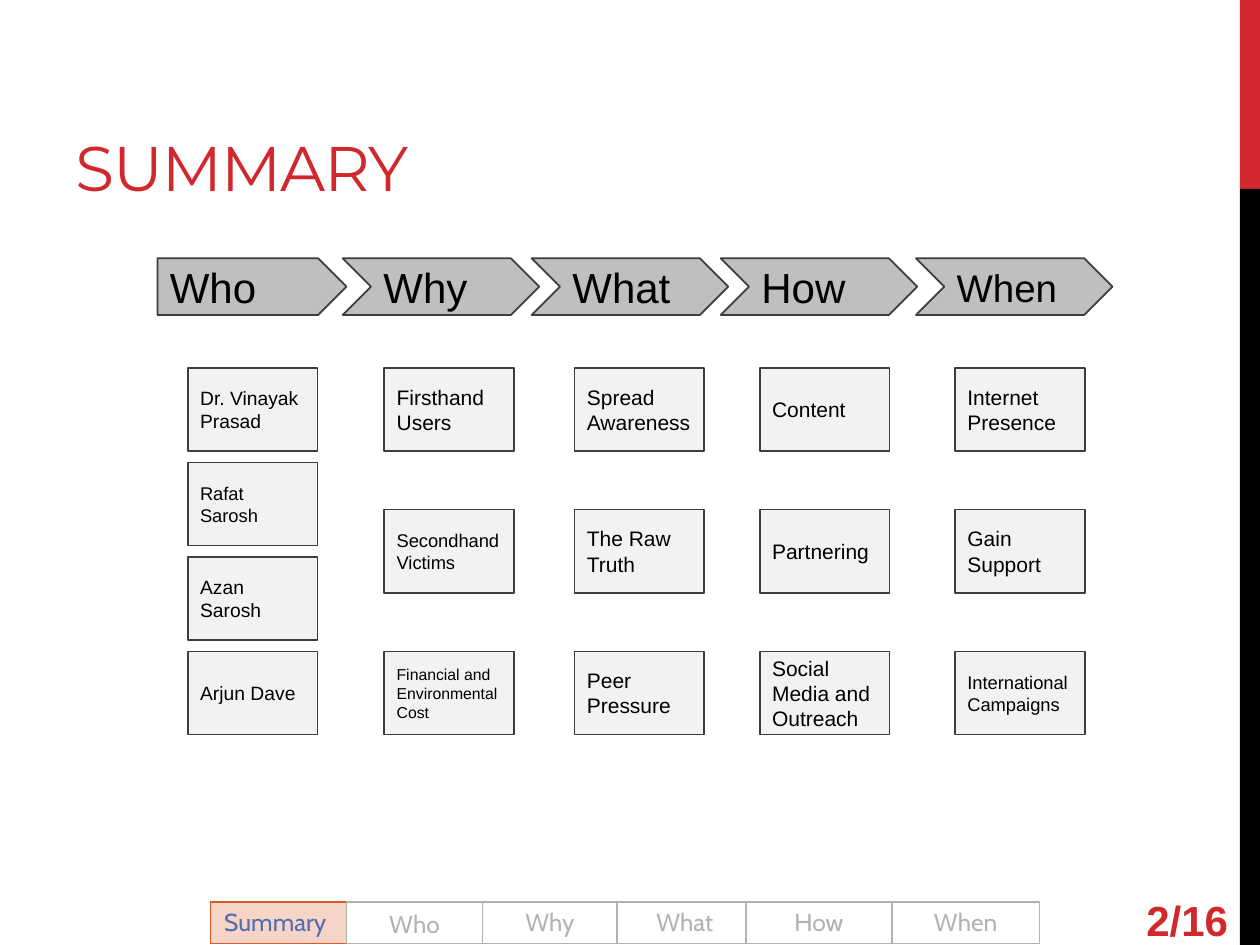
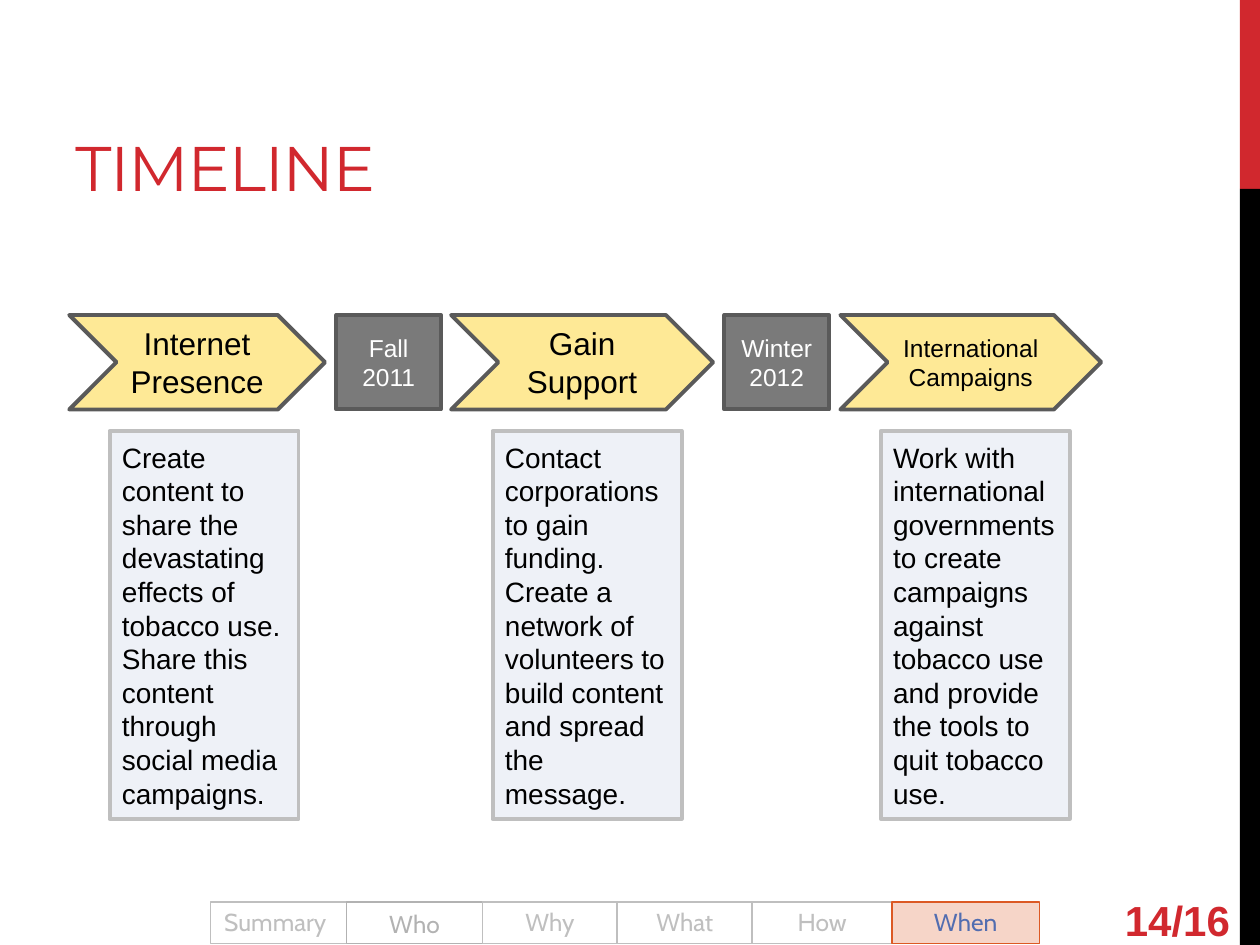
from lxml import etree
from pptx import Presentation
from pptx.dml.color import RGBColor
from pptx.enum.shapes import MSO_SHAPE
from pptx.enum.text import MSO_ANCHOR, PP_ALIGN
from pptx.oxml.ns import qn
from pptx.util import Inches, Pt

RECT, CHEVRON, PENTAGON = MSO_SHAPE.RECTANGLE, MSO_SHAPE.CHEVRON, MSO_SHAPE.PENTAGON
LEFT, CENTER = PP_ALIGN.LEFT, PP_ALIGN.CENTER
MIDDLE, BOTTOM = MSO_ANCHOR.MIDDLE, MSO_ANCHOR.BOTTOM

RED = RGBColor(0xD1, 0x28, 0x2E)
BLACK = RGBColor(0, 0, 0)
WHITE = RGBColor(0xFF, 0xFF, 0xFF)
ORANGE = RGBColor(0xDC, 0x59, 0x24)
BLUE = RGBColor(0x52, 0x6D, 0xB0)
PALE_BLUE = RGBColor(0xDC, 0xE2, 0xEF)
YELLOW = RGBColor(0xFE, 0xDE, 0x61)
PALE_GRAY = RGBColor(0xF2, 0xF2, 0xF2)
SILVER = RGBColor(0xBF, 0xBF, 0xBF)
NAV_GRAY = RGBColor(0xB2, 0xB2, 0xB2)
MID_GRAY = RGBColor(0x7A, 0x7A, 0x7A)
EDGE_GRAY = RGBColor(0x5A, 0x5A, 0x5A)
DARK_GRAY = RGBColor(0x3D, 0x3D, 0x3D)

BODY_FONT, TITLE_FONT, NAV_FONT = "Arial", "Montserrat", "Cabin"
BODY_INSETS = (0.1, 0.05, 0.1, 0.05)
NAV_INSETS = (0.05, 0.04, 0.05, 0.02)
SUMMARY_INSETS = (0, 0, 0.05, 0.02)

# heading, heading shape, heading left, heading width, heading size, card left, cards
TOPICS = [
    ("Who", PENTAGON, 1.25, 1.5, 24, 1.49,
     [("Dr. Vinayak Prasad", 11), ("Rafat Sarosh", 10.5),
      ("Azan Sarosh", 11), ("Arjun Dave", 11)]),
    ("Why", CHEVRON, 2.72, 1.56, 24, 3.05,
     [("Firsthand Users", 12), ("Secondhand Victims", 10.5),
      ("Financial and Environmental Cost", 9)]),
    ("What", CHEVRON, 4.22, 1.56, 24, 4.56,
     [("Spread Awareness", 12), ("The Raw Truth", 12), ("Peer Pressure", 12)]),
    ("How", CHEVRON, 5.72, 1.56, 24, 6.03,
     [("Content", 12), ("Partnering", 12), ("Social Media and Outreach", 12)]),
    ("When", CHEVRON, 7.27, 1.56, 22, 7.58,
     [("Internet Presence", 12), ("Gain Support", 12),
      ("International Campaigns", 10.5)]),
]

# phase, left, width, size, description left, description
PHASES = [
    ("Internet Presence", 0.55, 2.03, 18, 0.87,
     "Create content to share the devastating effects of tobacco use. "
     "Share this content through social media campaigns."),
    ("Gain Support", 3.58, 2.08, 18, 3.91,
     "Contact corporations to gain funding. Create a network of volunteers "
     "to build content and spread the message."),
    ("International Campaigns", 6.67, 2.07, 14, 6.99,
     "Work with international governments to create campaigns against "
     "tobacco use and provide the tools to quit tobacco use."),
]
DATES = [("Fall 2011", 2.67), ("Winter 2012", 5.75)]


class Deck:
    def __init__(self):
        self.presentation = Presentation()
        self.presentation.slide_width = Inches(10)
        self.presentation.slide_height = Inches(7.5)
        self.slide = None

    def new_slide(self, title, page, page_left):
        layout = self.presentation.slide_layouts[6]
        self.slide = self.presentation.slides.add_slide(layout)
        self.box((9.84, 0, 0.16, 1.5), fill=RED)
        self.box((9.84, 1.5, 0.16, 6), fill=BLACK)
        heading = self.label((0.5, 0.17, 6.33, 1.5), title, 36, TITLE_FONT, BOTTOM)
        heading.font._element.set("spc", "-60")
        number = self.label((page_left, 7.1, 1.44, 0.4), page, 24, BODY_FONT, MIDDLE)
        number.font.bold = True

    def set_text(self, shape, text, size, font=BODY_FONT, color=BLACK,
                 align=LEFT, anchor=MIDDLE, insets=BODY_INSETS):
        frame = shape.text_frame
        frame.text = text
        frame.word_wrap = True
        frame.vertical_anchor = anchor
        (frame.margin_left, frame.margin_top,
         frame.margin_right, frame.margin_bottom) = map(Inches, insets)
        paragraph = frame.paragraphs[0]
        paragraph.alignment = align
        run = paragraph.runs[0]
        run.font.name = font
        run.font.size = Pt(size)
        run.font.color.rgb = color
        return run

    def label(self, place, text, size, font, anchor):
        shape = self.slide.shapes.add_textbox(*map(Inches, place))
        return self.set_text(shape, text, size, font, RED, anchor=anchor)

    def box(self, place, kind=RECT, fill=None, alpha=100, line=None, weight=1):
        """Add a preset shape; alpha is the opacity of the fill in percent."""
        shape = self.slide.shapes.add_shape(kind, *map(Inches, place))
        shape.shadow.inherit = False
        if fill is None:
            shape.fill.background()
        else:
            shape.fill.solid()
            shape.fill.fore_color.rgb = fill
            if alpha < 100:
                color = shape._element.spPr.find(qn("a:solidFill"))[0]
                etree.SubElement(color, qn("a:alpha")).set("val", str(alpha * 1000))
        if line is None:
            shape.line.fill.background()
        else:
            shape.line.color.rgb = line
            shape.line.width = Pt(weight)
        return shape

    def navigation(self, active, idle_color, idle_fill, how_left):
        """Draw the section tabs with the active one highlighted."""
        tabs = [("Summary", 1.67, 2.75), ("Who", 2.75, 3.83), ("Why", 3.83, 4.9),
                ("What", 4.9, 5.97), ("How", how_left, 7.08), ("When", 7.08, 8.25)]
        for name, left, right in tabs:
            place = (left, 7.16, right - left, 0.33)
            if name == active:
                tab = self.box(place, fill=ORANGE, alpha=25, line=ORANGE)
                color = BLUE
            else:
                color = NAV_GRAY if name == "Who" else idle_color
                fill = WHITE if name == "Who" else idle_fill
                tab = self.box(place, fill=fill, line=color)
            insets = SUMMARY_INSETS if name == "Summary" else NAV_INSETS
            self.set_text(tab, name, 14, NAV_FONT, color, CENTER, insets=insets)
            if name not in ("Summary", "Who"):
                paragraph = tab.text_frame.paragraphs[0]
                paragraph.line_spacing = 0.8
                paragraph.space_before = Pt(2.8)

    def topic(self, name, kind, left, width, size, card_left, cards):
        """Draw a heading arrow with its cards spread evenly below."""
        heading = self.box((left, 2.05, width, 0.45), kind, SILVER, line=DARK_GRAY)
        self.set_text(heading, name, size)
        pitch = 2.25 / (len(cards) - 1)
        for row, (text, card_size) in enumerate(cards):
            card = self.box((card_left, 2.92 + row * pitch, 1.03, 0.66),
                            fill=PALE_GRAY, line=DARK_GRAY)
            self.set_text(card, text, card_size)

    def phase(self, name, left, width, size, detail_left, detail):
        arrow = self.box((left, 2.5, width, 0.75), CHEVRON, YELLOW, 66, EDGE_GRAY, 2.25)
        self.set_text(arrow, name, size, align=CENTER)
        panel = self.box((detail_left, 3.42, 1.5, 3.08), RECT, PALE_BLUE, 46, SILVER, 2.25)
        self.set_text(panel, detail, 16)

    def date(self, text, left):
        marker = self.box((left, 2.5, 0.83, 0.75), fill=MID_GRAY,
                          line=EDGE_GRAY, weight=2.25)
        self.set_text(marker, text, 14, color=WHITE, align=CENTER)


def main():
    deck = Deck()

    deck.new_slide("SUMMARY", "2/16", 9)
    for topic in TOPICS:
        deck.topic(*topic)
    deck.navigation("Summary", NAV_GRAY, WHITE, how_left=5.92)

    deck.new_slide("TIMELINE", "14/16", 8.83)
    deck.navigation("When", SILVER, None, how_left=5.97)
    for phase in PHASES:
        deck.phase(*phase)
    for date in DATES:
        deck.date(*date)

    deck.presentation.save("out.pptx")


if __name__ == "__main__":
    main()
